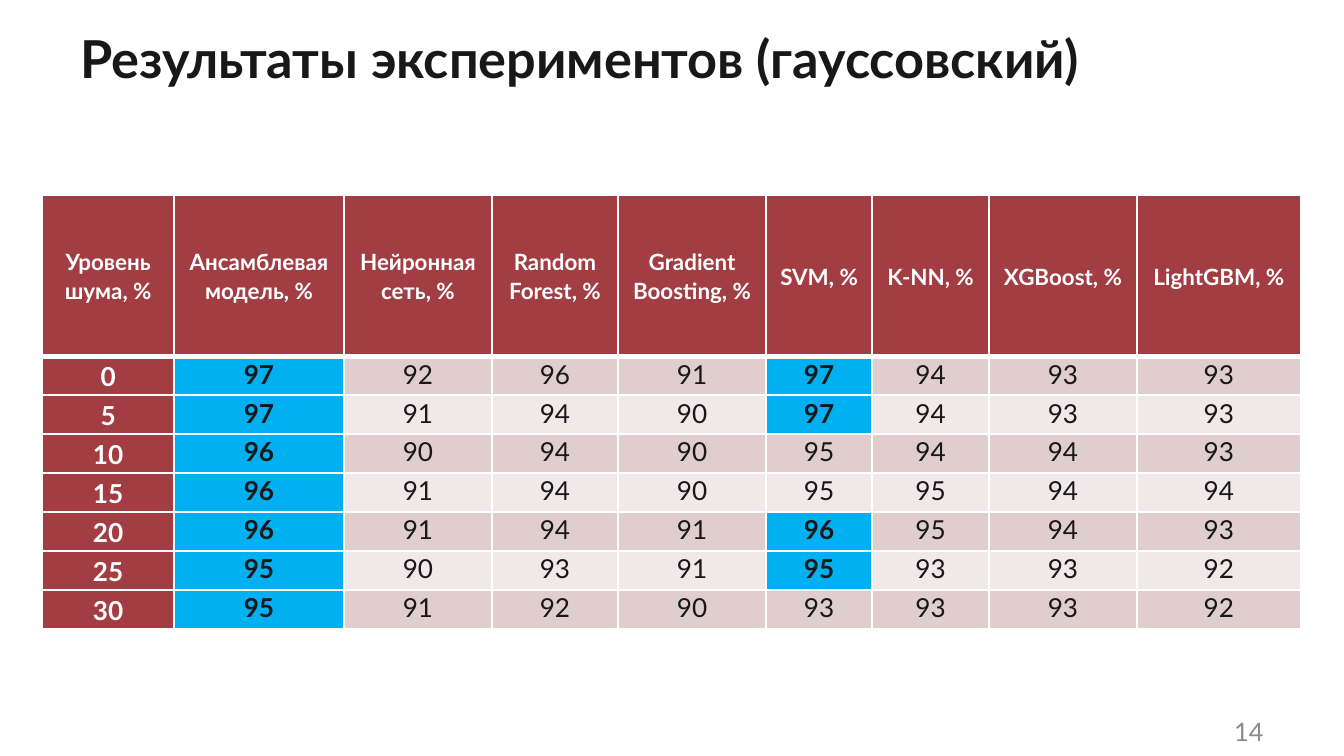
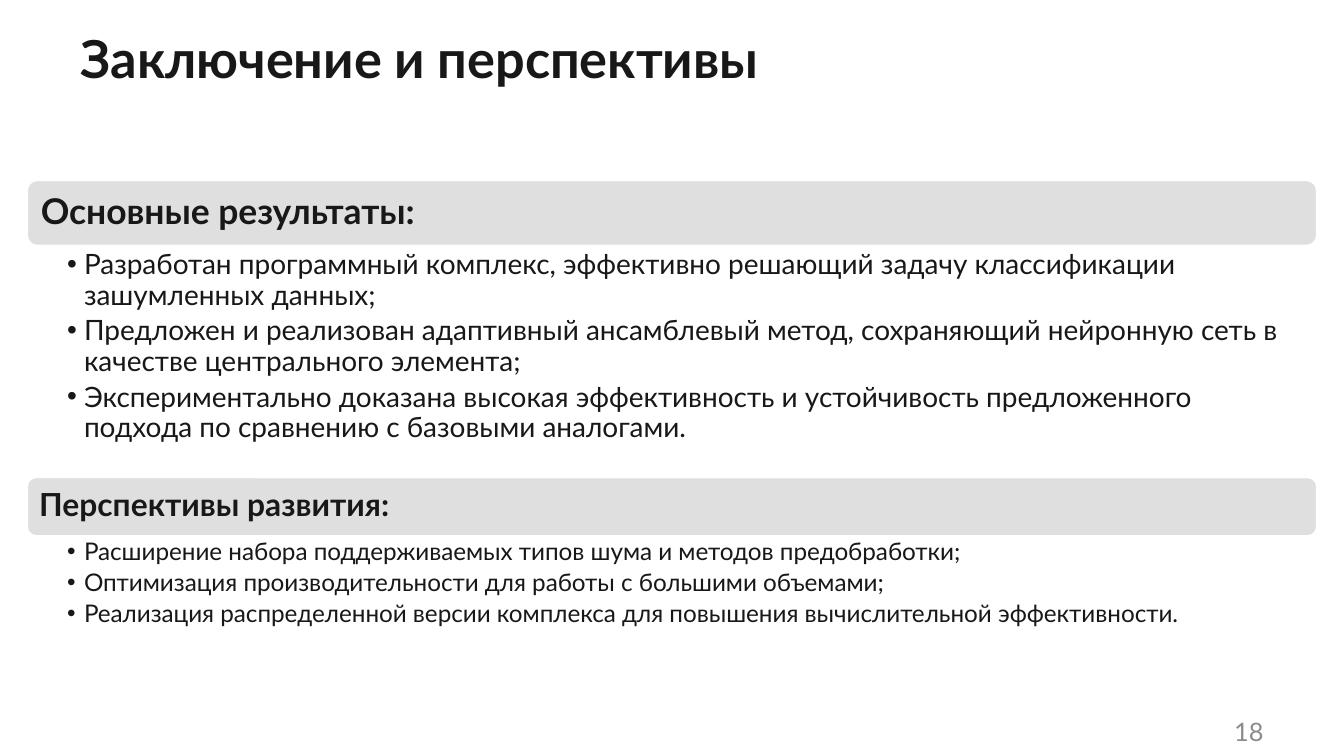
from dataclasses import dataclass
from typing import NamedTuple

from pptx import Presentation
from pptx.dml.color import RGBColor
from pptx.enum.shapes import MSO_SHAPE as Preset
from pptx.enum.text import MSO_ANCHOR as Anchor, MSO_AUTO_SIZE as AutoSize, PP_ALIGN as Align
from pptx.oxml.ns import qn
from pptx.util import Pt
from lxml.etree import SubElement

PX = 4572


class Box(NamedTuple):
    left: int
    top: int
    width: int
    height: int

    def emu(self):
        return [side * PX for side in self]


@dataclass(frozen=True)
class Theme:
    font: str = "Lato"
    ink: str = "181818"
    white: str = "FFFFFF"
    muted: str = "8C8C8C"
    header: str = "A23E43"
    best: str = "00B0F0"
    stripes: tuple = ("E0CECF", "F0E8E9")
    bar: str = "DFDFDF"
    title_size: float = 28
    number_size: float = 13.6
    column_size: float = 12
    value_size: float = 14


THEME = Theme()
PAGE = Box(0, 0, 2000, 1125)
TITLE = Box(100, 29, 1800, 140)
NUMBER = Box(1788, 1058, 112, 60)
TABLE = Box(63, 290, 1873, 646)
COLUMN_WIDTHS = [196, 253, 220, 188, 220, 158, 174, 220, 244]
HEADER_HEIGHT, ROW_HEIGHT = 240, 58
LIST_INDENT = 25

COLUMNS = [
    "Уровень шума, %", "Ансамблевая модель, %", "Нейронная сеть, %",
    "Random Forest, %", "Gradient Boosting, %", "SVM, %", "K-NN, %",
    "XGBoost, %", "LightGBM, %",
]
ACCURACY = {
    0: [97, 92, 96, 91, 97, 94, 93, 93],
    5: [97, 91, 94, 90, 97, 94, 93, 93],
    10: [96, 90, 94, 90, 95, 94, 94, 93],
    15: [96, 91, 94, 90, 95, 95, 94, 94],
    20: [96, 91, 94, 91, 96, 95, 94, 93],
    25: [95, 90, 93, 91, 95, 93, 93, 92],
    30: [95, 91, 92, 90, 93, 93, 93, 92],
}


class Section(NamedTuple):
    box: Box
    bar_height: int
    heading: str
    heading_size: int
    heading_inset: int
    list_size: int
    list_insets: tuple
    items: list


SECTIONS = [
    Section(Box(39, 267, 1922, 409), 100, "Основные результаты:", 19, 17, 15, (61, 6, 30, 6), [
        "Разработан программный комплекс, эффективно решающий задачу классификации зашумленных данных;",
        "Предложен и реализован адаптивный ансамблевый метод, сохраняющий нейронную сеть в качестве центрального элемента;",
        "Экспериментально доказана высокая эффективность и устойчивость предложенного подхода по сравнению с базовыми аналогами.",
    ]),
    Section(Box(39, 709, 1922, 239), 90, "Перспективы развития:", 17, 15, 13, (61, 4, 26, 4), [
        "Расширение набора поддерживаемых типов шума и методов предобработки;",
        "Оптимизация производительности для работы с большими объемами;",
        "Реализация распределенной версии комплекса для повышения вычислительной эффективности.",
    ]),
]


def place(shape, box):
    shape.left, shape.top, shape.width, shape.height = box.emu()


def style(para, size, color=THEME.ink, bold=False, align=Align.LEFT):
    para.alignment = align
    para.font.name = THEME.font
    para.font.size = Pt(size)
    para.font.bold = bold
    para.font.color.rgb = RGBColor.from_string(color)


def paint(fill, color):
    fill.solid()
    fill.fore_color.rgb = RGBColor.from_string(color)


def set_insets(frame, left, top, right, bottom):
    frame.margin_left, frame.margin_top = left * PX, top * PX
    frame.margin_right, frame.margin_bottom = right * PX, bottom * PX


def add_page(deck, layout, title, number):
    page = deck.slides.add_slide(deck.slide_layouts.get_by_name(layout))
    heading = page.shapes.title
    place(heading, TITLE)
    heading.text_frame.text = title
    heading.text_frame.auto_size = AutoSize.NONE
    heading.text_frame.vertical_anchor = Anchor.TOP
    style(heading.text_frame.paragraphs[0], THEME.title_size, bold=True)

    frame = page.shapes.add_textbox(*NUMBER.emu()).text_frame
    frame.word_wrap = True
    frame.vertical_anchor = Anchor.MIDDLE
    frame.text = str(number)
    style(frame.paragraphs[0], THEME.number_size, THEME.muted, align=Align.RIGHT)
    return page


def add_borders(cell, **widths):
    properties = cell._tc.get_or_add_tcPr()
    for side in "LRTB":
        line = SubElement(properties, qn(f"a:ln{side}"), w=str(Pt(widths.get(side, 1))))
        solid = SubElement(line, qn("a:solidFill"))
        SubElement(solid, qn("a:srgbClr"), val=THEME.white)


def fill_cell(cell, text, fill, size, color, bold, anchor, **borders):
    add_borders(cell, **borders)
    paint(cell.fill, fill)
    set_insets(cell, 14, 0, 14, 0)
    cell.vertical_anchor = anchor
    cell.text = str(text)
    para = cell.text_frame.paragraphs[0]
    para.line_spacing = 1.07
    para.space_after = Pt(8)
    style(para, size, color, bold, Align.CENTER)


def add_accuracy_table(page, box):
    table = page.shapes.add_table(len(ACCURACY) + 1, len(COLUMNS), *box.emu()).table
    for column, width in zip(table.columns, COLUMN_WIDTHS):
        column.width = width * PX
    for index, row in enumerate(table.rows):
        row.height = (ROW_HEIGHT if index else HEADER_HEIGHT) * PX
    for index, name in enumerate(COLUMNS):
        fill_cell(table.cell(0, index), name, THEME.header, THEME.column_size,
                  THEME.white, True, Anchor.MIDDLE, B=3)
    for row, (noise, values) in enumerate(ACCURACY.items(), 1):
        top = 3 if row == 1 else 1
        fill_cell(table.cell(row, 0), noise, THEME.header, THEME.value_size,
                  THEME.white, True, Anchor.MIDDLE, T=top)
        stripe = THEME.stripes[(row - 1) % 2]
        for column, value in enumerate(values, 1):
            best = value == max(values)
            fill_cell(table.cell(row, column), value, THEME.best if best else stripe,
                      THEME.value_size, THEME.ink, best, Anchor.TOP, T=top)


def add_bullet(para):
    properties = para._p.get_or_add_pPr()
    properties.set("marL", str(LIST_INDENT * PX))
    properties.set("indent", str(-LIST_INDENT * PX))
    SubElement(properties, qn("a:buChar"), char="•")


def add_section(page, body, section):
    box = section.box
    bar = page.shapes.add_shape(
        Preset.ROUNDED_RECTANGLE, *box._replace(height=section.bar_height).emu())
    bar.shadow.inherit = False
    paint(bar.fill, THEME.bar)
    paint(bar.line.fill, THEME.white)
    bar.line.width = Pt(2)
    frame = bar.text_frame
    frame.word_wrap = True
    frame.vertical_anchor = Anchor.MIDDLE
    set_insets(frame, section.heading_inset, 10, section.heading_inset, 10)
    frame.text = section.heading
    frame.paragraphs[0].line_spacing = 0.9
    style(frame.paragraphs[0], section.heading_size, bold=True)

    place(body, Box(box.left, box.top + section.bar_height,
                    box.width, box.height - section.bar_height))
    frame = body.text_frame
    frame.auto_size = AutoSize.NONE
    frame.vertical_anchor = Anchor.TOP
    set_insets(frame, *section.list_insets)
    frame.text = "\n".join(section.items)
    for para in frame.paragraphs:
        para.level = 1
        para.line_spacing = 0.9
        para.space_before = Pt(0)
        para.space_after = Pt(section.list_size * 0.2)
        add_bullet(para)
        style(para, section.list_size)


def add_results_page(deck):
    page = add_page(deck, "Title Only", "Результаты экспериментов (гауссовский)", 14)
    add_accuracy_table(page, TABLE)


def add_conclusion_page(deck):
    page = add_page(deck, "Two Content", "Заключение и перспективы", 18)
    bodies = [page.placeholders[1], page.placeholders[2]]
    for body, section in zip(bodies, SECTIONS):
        add_section(page, body, section)


def main():
    deck = Presentation()
    deck.slide_width, deck.slide_height = PAGE.width * PX, PAGE.height * PX
    add_results_page(deck)
    add_conclusion_page(deck)
    deck.save("out.pptx")


if __name__ == "__main__":
    main()
